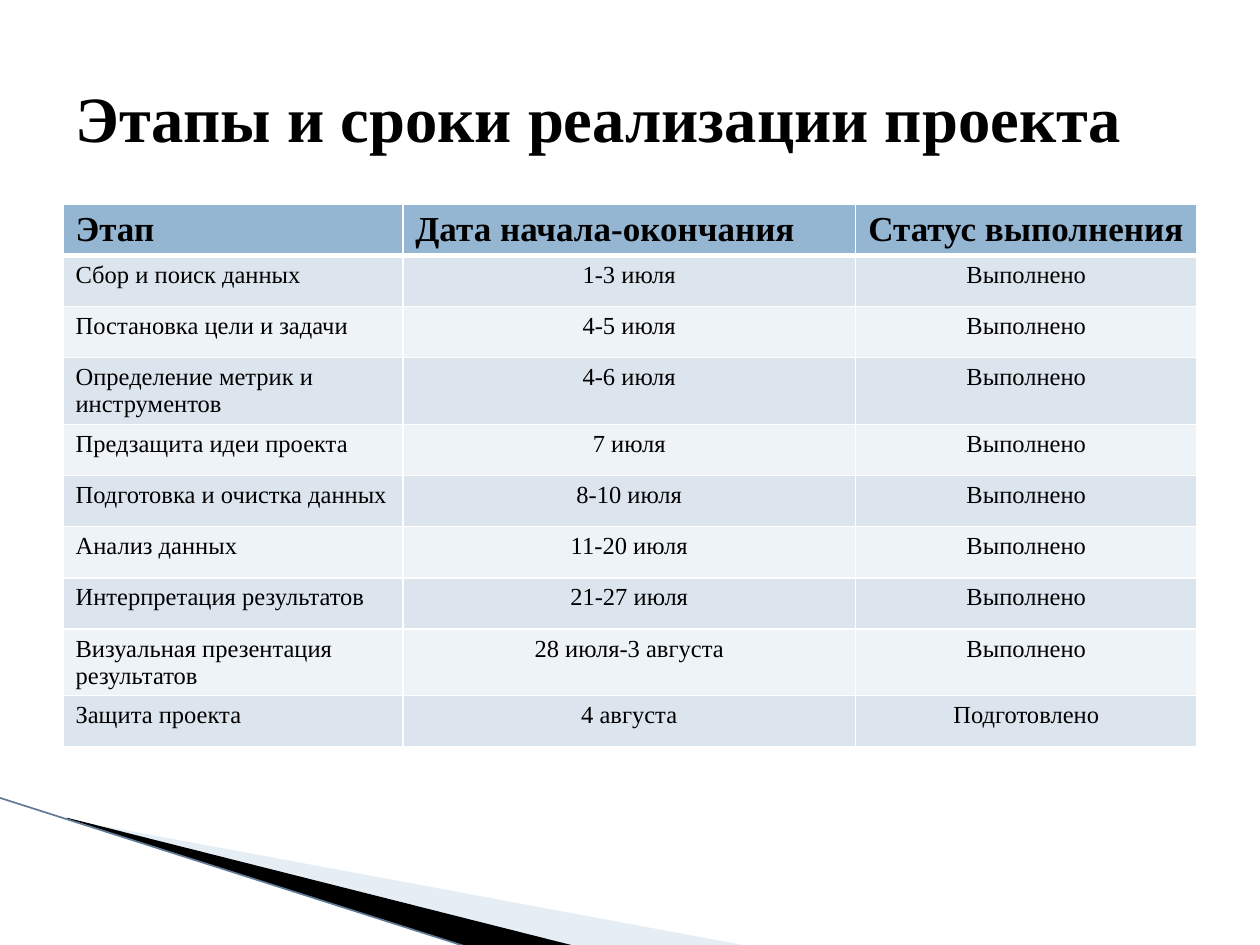
from lxml.etree import SubElement
from pptx import Presentation
from pptx.dml.color import RGBColor
from pptx.enum.shapes import MSO_CONNECTOR
from pptx.enum.text import MSO_ANCHOR, PP_ALIGN
from pptx.oxml.ns import qn
from pptx.util import Pt

FONT = "Times New Roman"


def paint(fill, color):
    fill.solid()
    fill.fore_color.rgb = RGBColor.from_string(color)


def style(paragraph, size, bold, align):
    paragraph.alignment = align
    paragraph.font.name = FONT
    paragraph.font.size = Pt(size)
    paragraph.font.bold = bold
    paint(paragraph.font.fill, "000000")


deck = Presentation()
deck.slide_width, deck.slide_height = Pt(720), Pt(540)
page = deck.slides.add_slide(deck.slide_layouts[5])

# Corner wedges: colour, opacity in percent, outline points
wedges = [
    ("C0D3E6", 40, [(39.6, 468.4), (428.4, 540.7), (328.3, 540.7), (39.6, 468)]),
    ("000000", 100, [(38.2, 467.3), (329, 540.7), (267.8, 541.4), (38.9, 468)]),
]
for color, opacity, points in wedges:
    corners = [(Pt(x), Pt(y)) for x, y in points]
    builder = page.shapes.build_freeform(*corners[0])
    builder.add_line_segments(corners[1:], close=True)
    wedge = builder.convert_to_shape()
    wedge.shadow.inherit = False
    wedge.line.fill.background()
    paint(wedge.fill, color)
    if opacity < 100:
        tint = wedge.fill._xPr.find(qn("a:solidFill"))[0]
        SubElement(tint, qn("a:alpha"), val=str(opacity * 1000))

# Thin line along the wedges
edge = page.shapes.add_connector(
    MSO_CONNECTOR.STRAIGHT, Pt(-0.5), Pt(455.8), Pt(267.8), Pt(541.4))
edge.line.width = Pt(0.95)
paint(edge.line.fill, "5F7A95")
SubElement(edge._element.spPr, qn("a:effectLst"))

# Schedule table
header = ("Этап", "Дата начала-окончания", "Статус выполнения")
stages = [
    ("Сбор и поиск данных", "1-3 июля"),
    ("Постановка цели и задачи", "4-5 июля"),
    ("Определение метрик и инструментов", "4-6 июля"),
    ("Предзащита идеи проекта", "7 июля"),
    ("Подготовка и очистка данных", "8-10 июля"),
    ("Анализ данных", "11-20 июля"),
    ("Интерпретация результатов", "21-27 июля"),
    ("Визуальная презентация результатов", "28 июля-3 августа"),
    ("Защита проекта", "4 августа"),
]
rows = [header] + [(*stage, "Выполнено") for stage in stages[:-1]]
rows.append((*stages[-1], "Подготовлено"))

row_height = 29.2
table = page.shapes.add_table(
    len(rows), len(header), Pt(36), Pt(116.6), Pt(648),
    Pt(row_height * len(rows))).table
for column, width in zip(table.columns, (194.2, 258.8, 195)):
    column.width = Pt(width)

for r, row in enumerate(rows):
    table.rows[r].height = Pt(row_height)
    for c, text in enumerate(row):
        cell = table.cell(r, c)
        cell.text = text
        is_header = r == 0
        if is_header:
            # Slightly tighter right margin keeps each heading on one line
            cell.margin_right = Pt(6)
        align = PP_ALIGN.LEFT if is_header or c == 0 else PP_ALIGN.CENTER
        style(cell.text_frame.paragraphs[0], 20 if is_header else 14, is_header, align)

        # White borders, thicker between the header and the body
        properties = cell._tc.get_or_add_tcPr()
        for side in "LRTB":
            thick = (r, side) in ((0, "B"), (1, "T"))
            border = SubElement(
                properties, qn(f"a:ln{side}"), w=str(Pt(3 if thick else 1)))
            SubElement(SubElement(border, qn("a:solidFill")), qn("a:srgbClr"), val="FFFFFF")
        paint(cell.fill, "94B6D2" if is_header else ("EEF3F7", "DCE5EE")[r % 2])

# Title
title = page.shapes.title
title.left, title.top, title.width, title.height = Pt(36), Pt(21.6), Pt(648), Pt(90)
title.text_frame.text = "Этапы и сроки реализации проекта"
title.text_frame.word_wrap = True
title.text_frame.vertical_anchor = MSO_ANCHOR.MIDDLE
style(title.text_frame.paragraphs[0], 36.9, True, PP_ALIGN.LEFT)

deck.save("out.pptx")
